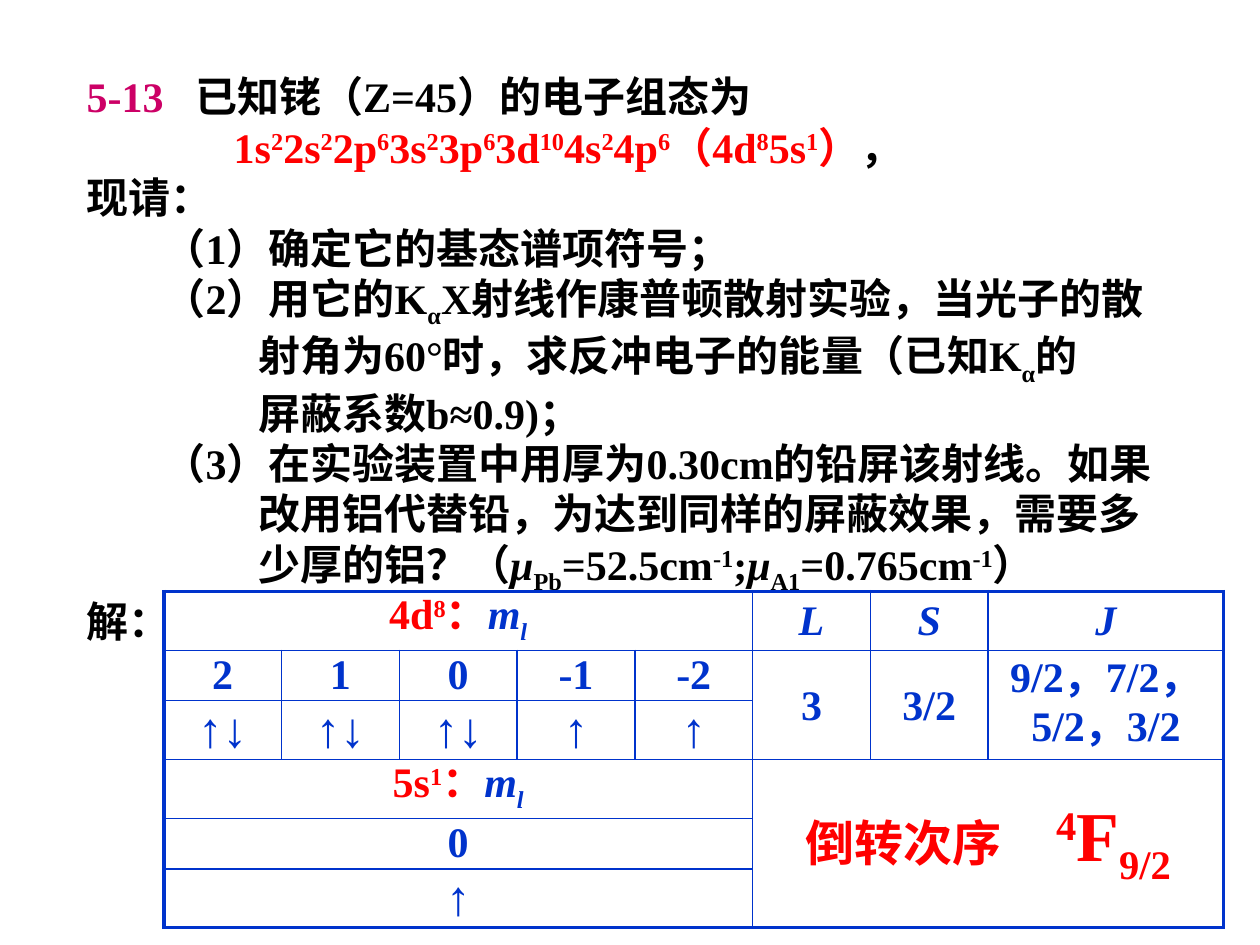
import dataclasses
import typing

import lxml.etree
import pptx
import pptx.dml.color
import pptx.enum.text
import pptx.oxml.ns
import pptx.util

Pt = pptx.util.Pt
BLACK, RED, BLUE, MAGENTA = "000000", "FF0000", "0033CC", "CC0066"
SUPERSCRIPT, SUBSCRIPT = 30, -25


@dataclasses.dataclass
class Piece:
    text: str
    color: str = BLACK
    shift: int = 0
    italic: bool = False
    size: float = 24
    font: str = "Times New Roman"
    tracking: float = 0


@dataclasses.dataclass
class Line:
    pieces: list[Piece]
    indent: float = 0


@dataclasses.dataclass
class Entry:
    row: int
    column: int
    pieces: list[Piece]
    rows: int = 1
    columns: int = 1
    line_height: float = 0


def rgb(color: str) -> pptx.dml.color.RGBColor:
    return pptx.dml.color.RGBColor.from_string(color)


def set_attributes(target: typing.Any, values: dict[str, typing.Any]) -> None:
    for name, value in values.items():
        setattr(target, name, value)


def add_element(parent: typing.Any, tag: str, **attributes: str) -> typing.Any:
    return lxml.etree.SubElement(parent, pptx.oxml.ns.qn(tag), attributes)


def scripted(text: str, shift: int = SUPERSCRIPT, color: str = BLACK) -> list[Piece]:
    return [Piece(part, color, shift * (index % 2))
            for index, part in enumerate(text.split("|")) if part]


def quantum_number(orbital: str) -> list[Piece]:
    return scripted(orbital, color=RED) + [
        Piece("m", BLUE, italic=True), Piece("l", BLUE, SUBSCRIPT, italic=True)]


def coefficient(element: str, value: str) -> list[Piece]:
    return [Piece("μ", italic=True), Piece(element, shift=SUBSCRIPT)] + scripted(value)


def arrows(text: str) -> list[Piece]:
    return [Piece(text, BLUE, size=28, font="Arial")]


def write_pieces(paragraph: typing.Any, pieces: list[Piece]) -> None:
    for piece in pieces:
        run = paragraph.add_run()
        run.text = piece.text
        set_attributes(run.font, {"size": Pt(piece.size), "name": piece.font,
                                  "bold": True, "italic": piece.italic})
        run.font.color.rgb = rgb(piece.color)
        properties = run.font._element
        if piece.shift:
            properties.set("baseline", str(piece.shift * 1000))
        if piece.tracking:
            properties.set("spc", str(round(piece.tracking * 100)))


def draw_problem(slide: typing.Any, lines: list[Line]) -> None:
    shape = slide.shapes.add_textbox(Pt(42.5), Pt(43.2), Pt(652.3), Pt(323.3))
    frame = shape.text_frame
    set_attributes(frame, {"word_wrap": True,
                           "vertical_anchor": pptx.enum.text.MSO_ANCHOR.MIDDLE})
    for index, line in enumerate(lines):
        paragraph = frame.add_paragraph() if index else frame.paragraphs[0]
        properties = paragraph._p.get_or_add_pPr()
        properties.set("marL", str(Pt(line.indent)))
        properties.set("indent", "0")
        write_pieces(paragraph, line.pieces)


def draw_borders(cell: typing.Any, outer: dict[str, bool]) -> None:
    properties = cell._tc.get_or_add_tcPr()
    for side, is_outer in outer.items():
        border = add_element(properties, f"a:ln{side}", w=str(Pt(2.25 if is_outer else 1)))
        fill = add_element(border, "a:solidFill")
        add_element(fill, "a:srgbClr", val=BLUE)
    cell.fill.background()


def draw_entry(table: typing.Any, entry: Entry) -> None:
    last_row = entry.row + entry.rows - 1
    last_column = entry.column + entry.columns - 1
    cell = table.cell(entry.row, entry.column)
    if entry.rows * entry.columns > 1:
        cell.merge(table.cell(last_row, last_column))
    for row in range(entry.row, last_row + 1):
        for column in range(entry.column, last_column + 1):
            is_origin = (row, column) == (entry.row, entry.column)
            right, bottom = (last_column, last_row) if is_origin else (column, row)
            draw_borders(table.cell(row, column), {
                "L": column == 0, "R": right == len(table.columns) - 1,
                "T": row == 0, "B": bottom == len(table.rows) - 1})
    set_attributes(cell, {"margin_left": 0, "margin_right": 0,
                          "margin_top": 0, "margin_bottom": 0,
                          "vertical_anchor": pptx.enum.text.MSO_ANCHOR.MIDDLE})
    paragraph = cell.text_frame.paragraphs[0]
    paragraph.alignment = pptx.enum.text.PP_ALIGN.CENTER
    if entry.line_height:
        paragraph.line_spacing = Pt(entry.line_height)
    write_pieces(paragraph, entry.pieces)


def draw_table(slide: typing.Any, widths: list[float], heights: list[float],
               entries: list[Entry]) -> None:
    frame = slide.shapes.add_table(len(heights), len(widths), Pt(93.6), Pt(338),
                                   Pt(sum(widths)), Pt(sum(heights)))
    table = frame.table
    set_attributes(table, {"first_row": False, "horz_banding": False})
    for column, width in zip(table.columns, widths):
        column.width = Pt(width)
    for row, height in zip(table.rows, heights):
        row.height = Pt(height)
    for entry in entries:
        draw_entry(table, entry)


def main() -> None:
    presentation = pptx.Presentation()
    set_attributes(presentation, {"slide_width": Pt(720), "slide_height": Pt(540)})
    slide = presentation.slides.add_slide(presentation.slide_layouts[6])

    question, continuation = 44, 98
    draw_problem(slide, [
        Line([Piece("5-13", MAGENTA), Piece(" ", tracking=12),
              Piece("已知铑（Z=45）的电子组态为")]),
        Line(scripted("1s|2|2s|2|2p|6|3s|2|3p|6|3d|10|4s|2|4p|6|（4d|8|5s|1|）", color=RED)
             + [Piece("，")], 84),
        Line([Piece("现请：")]),
        Line([Piece("（1）确定它的基态谱项符号；")], question),
        Line(scripted("（2）用它的K|α|X射线作康普顿散射实验，当光子的散", SUBSCRIPT), question),
        Line(scripted("射角为60°时，求反冲电子的能量（已知K|α|的", SUBSCRIPT), continuation),
        Line([Piece("屏蔽系数b≈0.9)；")], continuation),
        Line([Piece("（3）在实验装置中用厚为0.30cm的铅屏该射线。如果")], question),
        Line([Piece("改用铝代替铅，为达到同样的屏蔽效果，需要多")], continuation),
        Line([Piece("少厚的铝？（")] + coefficient("Pb", "=52.5cm|-1|;")
             + coefficient("A1", "=0.765cm|-1|）"), continuation),
        Line([Piece("解：")]),
    ])

    compact = 28
    entries = [Entry(0, 0, quantum_number("4d|8|："), columns=5, line_height=compact),
               Entry(3, 0, quantum_number("5s|1|："), columns=5, line_height=compact),
               Entry(4, 0, [Piece("0", BLUE)], columns=5),
               Entry(5, 0, arrows("↑"), columns=5)]
    for column, (number, spins) in enumerate(
            [("2", "↑↓"), ("1", "↑↓"), ("0", "↑↓"), ("-1", "↑"), ("-2", "↑")]):
        entries += [Entry(1, column, [Piece(number, BLUE)]), Entry(2, column, arrows(spins))]
    for column, (symbol, value) in enumerate(
            [("L", "3"), ("S", "3/2"), ("J", "9/2，7/2，5/2，3/2")], start=5):
        entries += [Entry(0, column, [Piece(symbol, BLUE, italic=True)]),
                    Entry(1, column, [Piece(value, BLUE)], rows=2, line_height=compact)]
    entries.append(Entry(3, 5, [
        Piece("倒转次序", RED, size=28), Piece(" ", RED, size=28, tracking=25),
        Piece("4", RED, SUPERSCRIPT, size=40), Piece("F", RED, size=40),
        Piece("9/2", RED, SUBSCRIPT, size=40)], rows=3, columns=3))
    draw_table(slide, [67.3] * 7 + [134.6], [33.6, 28.8, 33.6] * 2, entries)

    presentation.save("out.pptx")


if __name__ == "__main__":
    main()
